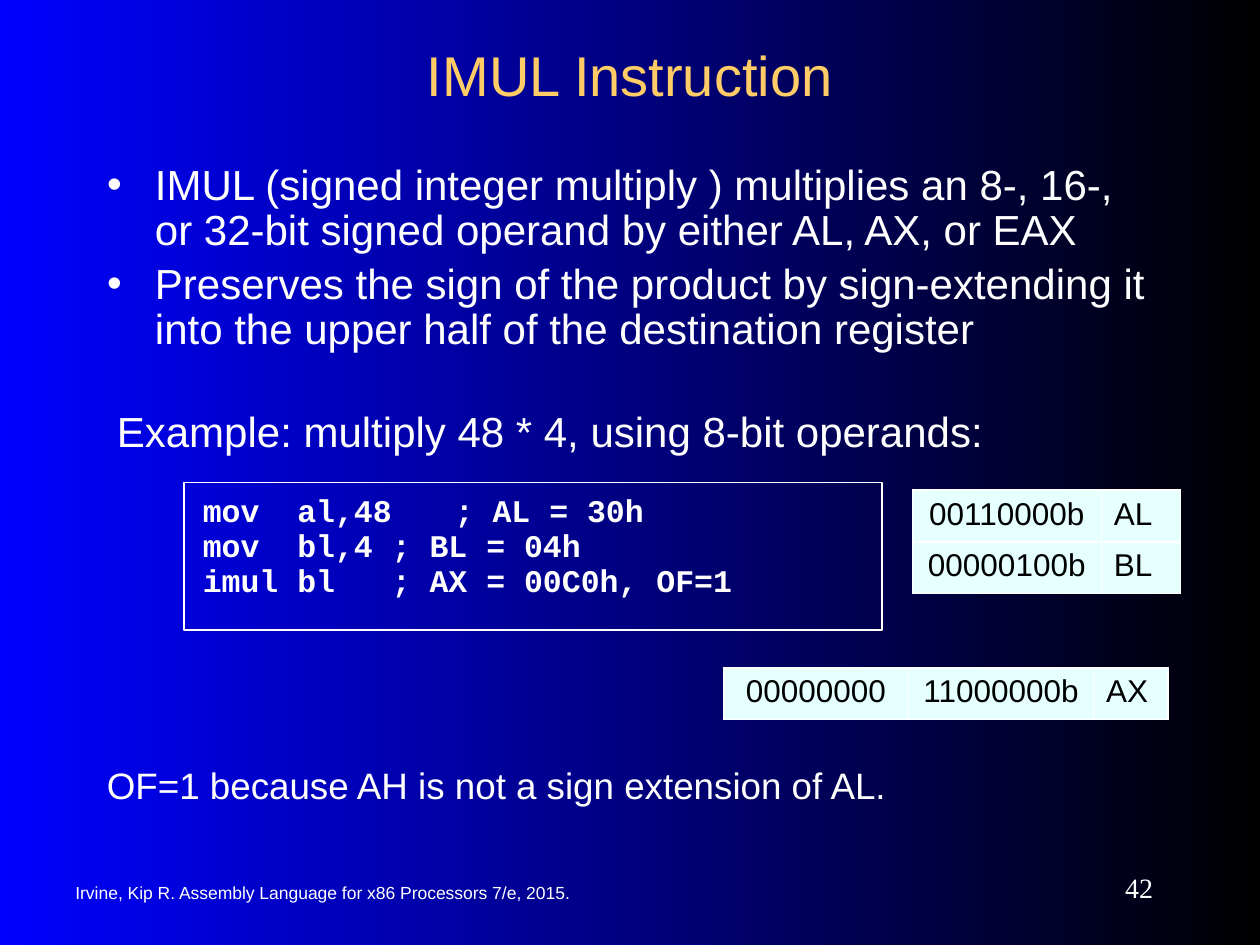
from dataclasses import dataclass

from lxml.etree import SubElement
from pptx import Presentation
from pptx.dml.color import RGBColor as Color
from pptx.enum.shapes import MSO_SHAPE as Shape
from pptx.enum.text import MSO_ANCHOR as Anchor, MSO_AUTO_SIZE as AutoSize, PP_ALIGN as Align
from pptx.oxml.ns import qn
from pptx.util import Inches, Pt


@dataclass(frozen=True)
class Theme:
    start: Color = Color.from_string("0000FF")
    end: Color = Color.from_string("000000")
    title: Color = Color.from_string("FFCC66")
    text: Color = Color.from_string("FFFFFF")
    cell: Color = Color.from_string("E6FFFF")
    cell_text: Color = Color.from_string("000000")
    sans: str = "Arial"
    serif: str = "Times New Roman"
    mono: str = "Courier New"
    title_size: int = 32
    body_size: int = 24
    note_size: int = 21
    code_size: int = 18
    number_size: int = 16
    footer_size: int = 10


THEME = Theme()


def set_values(target, values):
    for name, value in values.items():
        setattr(target, name, value)


def place(shape, box):
    set_values(shape, dict(zip(("left", "top", "width", "height"), map(Inches, box))))


def write(frame, lines, size, color=THEME.text, font=THEME.sans, bold=False,
          margins=(0.1, 0.05), anchor=Anchor.TOP, **layout):
    side, edge = map(Inches, margins)
    set_values(frame, {
        "margin_left": side, "margin_right": side, "margin_top": edge, "margin_bottom": edge,
        "word_wrap": True, "auto_size": AutoSize.NONE, "vertical_anchor": anchor,
    })
    gap = layout.pop("gap", 0)
    for index, line in enumerate(lines):
        paragraph = frame.add_paragraph() if index else frame.paragraphs[0]
        set_values(paragraph, {"space_before": Pt(gap if index else 0), **layout})
        run = paragraph.add_run()
        run.text = line
        set_values(run.font, {"size": Pt(size), "name": font, "bold": bold})
        run.font.color.rgb = color


def add_text(slide, box, line, size, **layout):
    shape = slide.shapes.add_textbox(*map(Inches, box))
    write(shape.text_frame, [line], size, **layout)


def add_background(slide):
    fill = slide.background.fill
    fill.gradient()
    fill.gradient_angle = 0
    for stop, color in zip(fill.gradient_stops, (THEME.start, THEME.end)):
        stop.color.rgb = color


def add_title(slide, box, line):
    title = slide.shapes.title
    place(title, box)
    write(title.text_frame, [line], THEME.title_size, color=THEME.title,
          anchor=Anchor.MIDDLE, alignment=Align.CENTER)


def add_bullets(slide, box, lines):
    body = slide.placeholders[1]
    place(body, box)
    write(body.text_frame, lines, THEME.body_size, gap=4.8, line_spacing=0.9)
    for paragraph in body.text_frame.paragraphs:
        properties = paragraph._p.get_or_add_pPr()
        properties.set("marL", str(Inches(0.38)))
        properties.set("indent", str(-Inches(0.38)))
        bullet_color = SubElement(properties, qn("a:buClr"))
        SubElement(bullet_color, qn("a:srgbClr"), val=str(THEME.text))
        SubElement(properties, qn("a:buChar"), char="•")


def add_code(slide, box, lines):
    shape = slide.shapes.add_shape(Shape.RECTANGLE, *map(Inches, box))
    shape.shadow.inherit = False
    shape.fill.background()
    shape.line.color.rgb = THEME.text
    shape.line.width = Pt(0.75)
    write(shape.text_frame, lines, THEME.code_size, font=THEME.mono, bold=True,
          margins=(0.15, 0.2), gap=9, line_spacing=0.5, alignment=Align.LEFT)


def add_borders(cell):
    properties = cell._tc.get_or_add_tcPr()
    for index, side in enumerate(("lnL", "lnR", "lnT", "lnB")):
        line = properties.makeelement(qn(f"a:{side}"), {"w": str(Pt(1))})
        fill = SubElement(line, qn("a:solidFill"))
        SubElement(fill, qn("a:srgbClr"), val=str(THEME.text))
        properties.insert(index, line)


def add_registers(slide, position, widths, rows, row_height=0.41):
    box = (*position, sum(widths), row_height * len(rows))
    table = slide.shapes.add_table(len(rows), len(widths), *map(Inches, box)).table
    set_values(table, {"first_row": False, "horz_banding": False})
    for column, width in zip(table.columns, widths):
        column.width = Inches(width)
    for row_index, values in enumerate(rows):
        table.rows[row_index].height = Inches(row_height)
        for column_index, value in enumerate(values):
            cell = table.cell(row_index, column_index)
            is_name = column_index == len(widths) - 1
            cell.fill.solid()
            cell.fill.fore_color.rgb = THEME.cell
            write(cell.text_frame, [value], THEME.code_size, color=THEME.cell_text,
                  alignment=Align.LEFT if is_name else Align.CENTER)
            add_borders(cell)


def add_footer(slide, source_box, number_box):
    add_text(slide, source_box, "Irvine, Kip R. Assembly Language for x86 Processors 7/e, 2015.",
             THEME.footer_size, anchor=Anchor.MIDDLE)
    add_text(slide, number_box, "42", THEME.number_size, font=THEME.serif,
             anchor=Anchor.MIDDLE, alignment=Align.RIGHT)


def build_imul_slide(presentation):
    slide = presentation.slides.add_slide(presentation.slide_layouts[1])
    add_background(slide)
    add_footer(slide, (0.5, 6.92, 4.83, 0.33), (8.17, 6.83, 1.08, 0.42))
    add_title(slide, (0.75, 0.25, 8.5, 0.67), "IMUL Instruction")
    add_bullets(slide, (0.75, 1.25, 8.5, 1.75), [
        "IMUL (signed integer multiply ) multiplies an 8-, 16-, or 32-bit signed operand "
        "by either AL, AX, or EAX",
        "Preserves the sign of the product by sign-extending it into the upper half of "
        "the destination register",
    ])
    add_text(slide, (0.83, 3.17, 8.5, 0.58),
             "Example: multiply 48 * 4, using 8-bit operands:", THEME.body_size)
    add_text(slide, (0.75, 5.9, 7.33, 0.65), "OF=1 because AH is not a sign extension of AL.",
             THEME.note_size, margins=(0.1, 0.15))
    add_code(slide, (1.46, 3.83, 5.54, 1.17), [
        "mov  al,48\t; AL = 30h",
        "mov  bl,4\t; BL = 04h",
        "imul bl\t; AX = 00C0h, OF=1",
    ])
    add_registers(slide, (7.24, 3.89), (1.5, 0.63), [("00110000b", "AL"), ("00000100b", "BL")])
    add_registers(slide, (5.74, 5.3), (1.47, 1.47, 0.59), [("00000000", "11000000b", "AX")])


def main():
    presentation = Presentation()
    set_values(presentation, {"slide_width": Inches(10), "slide_height": Inches(7.5)})
    build_imul_slide(presentation)
    presentation.save("out.pptx")


if __name__ == "__main__":
    main()
